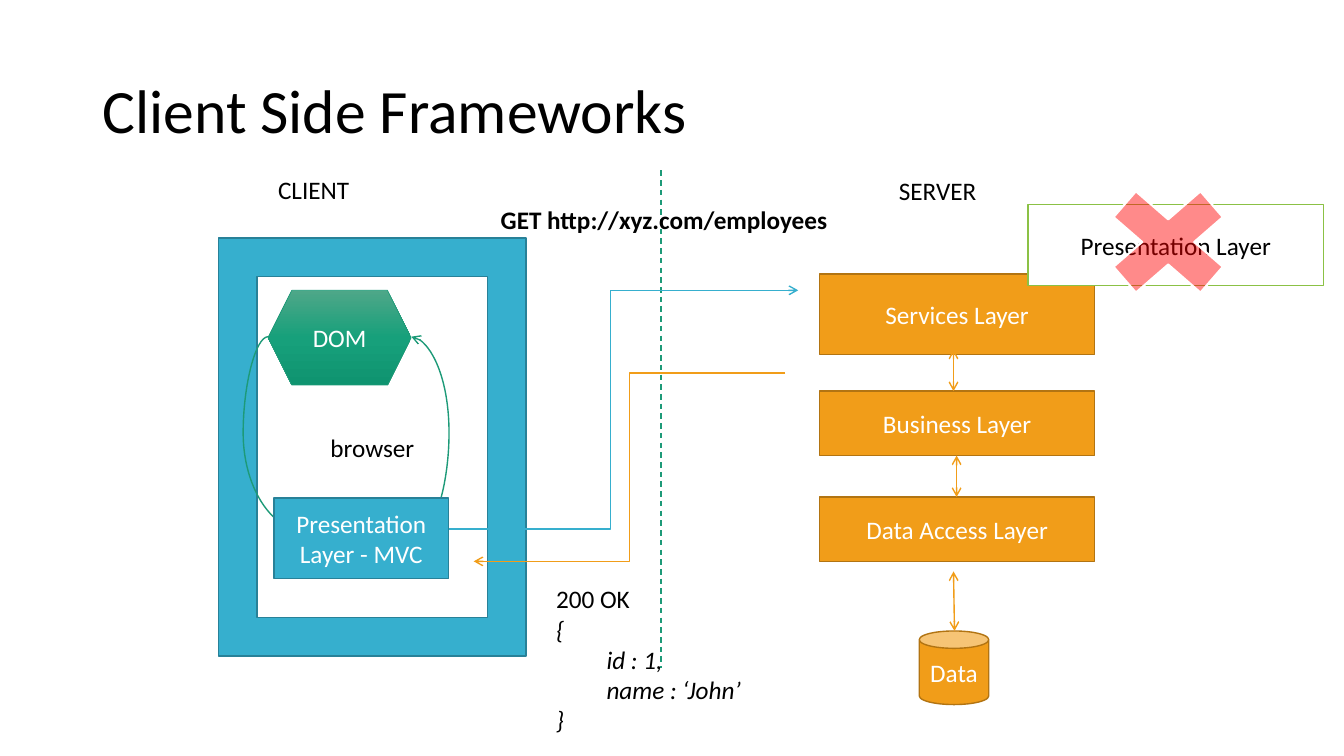
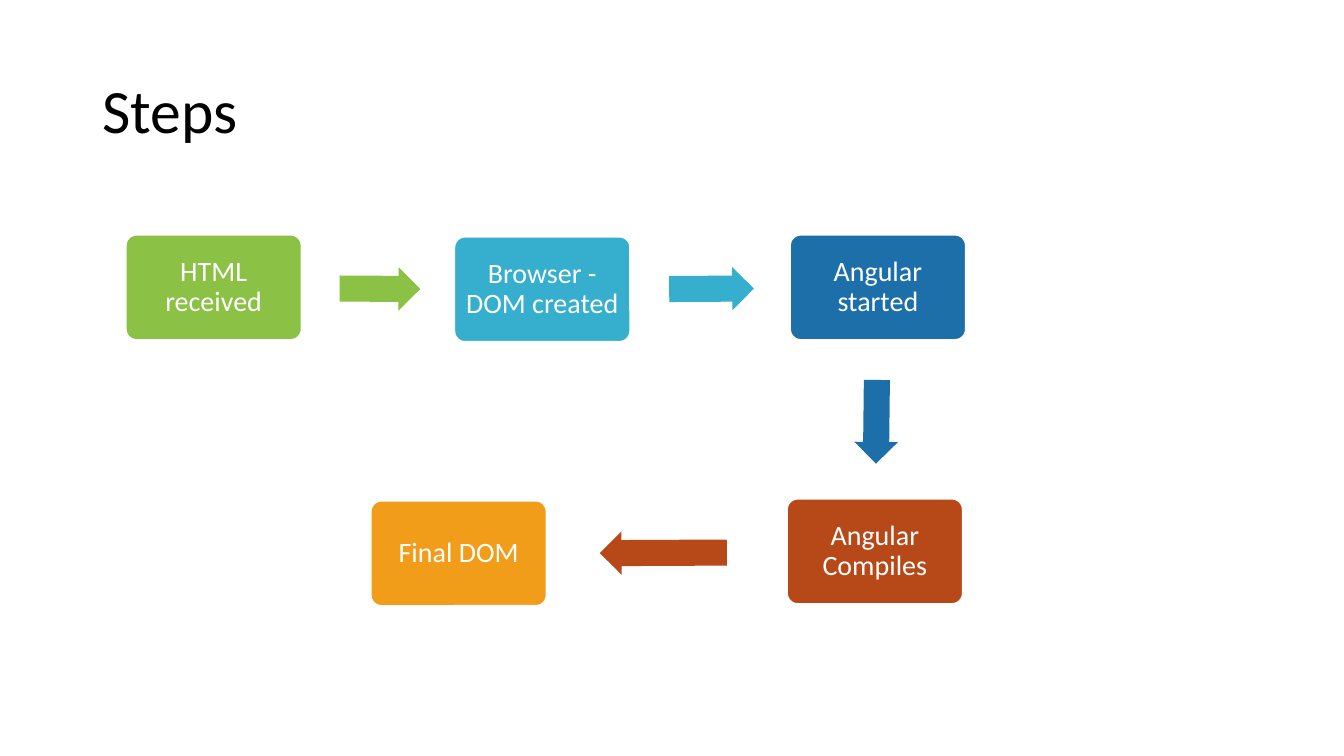
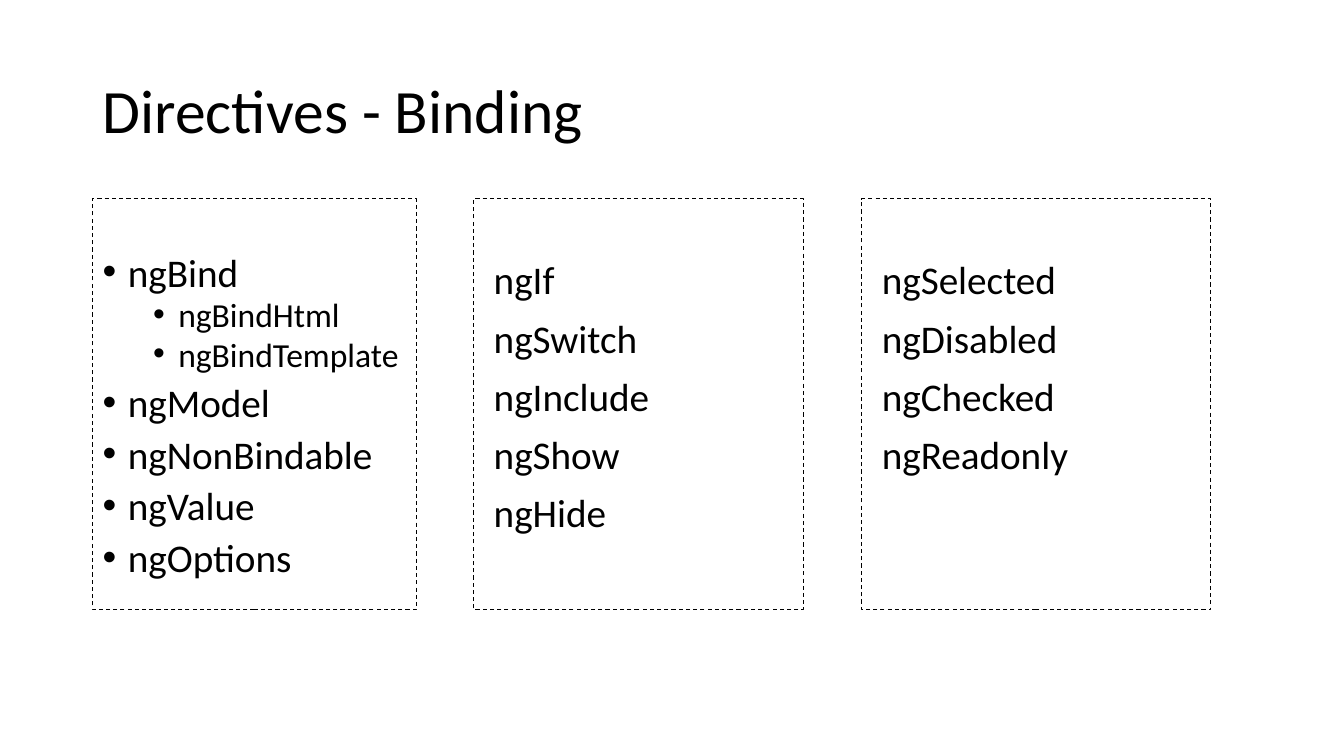
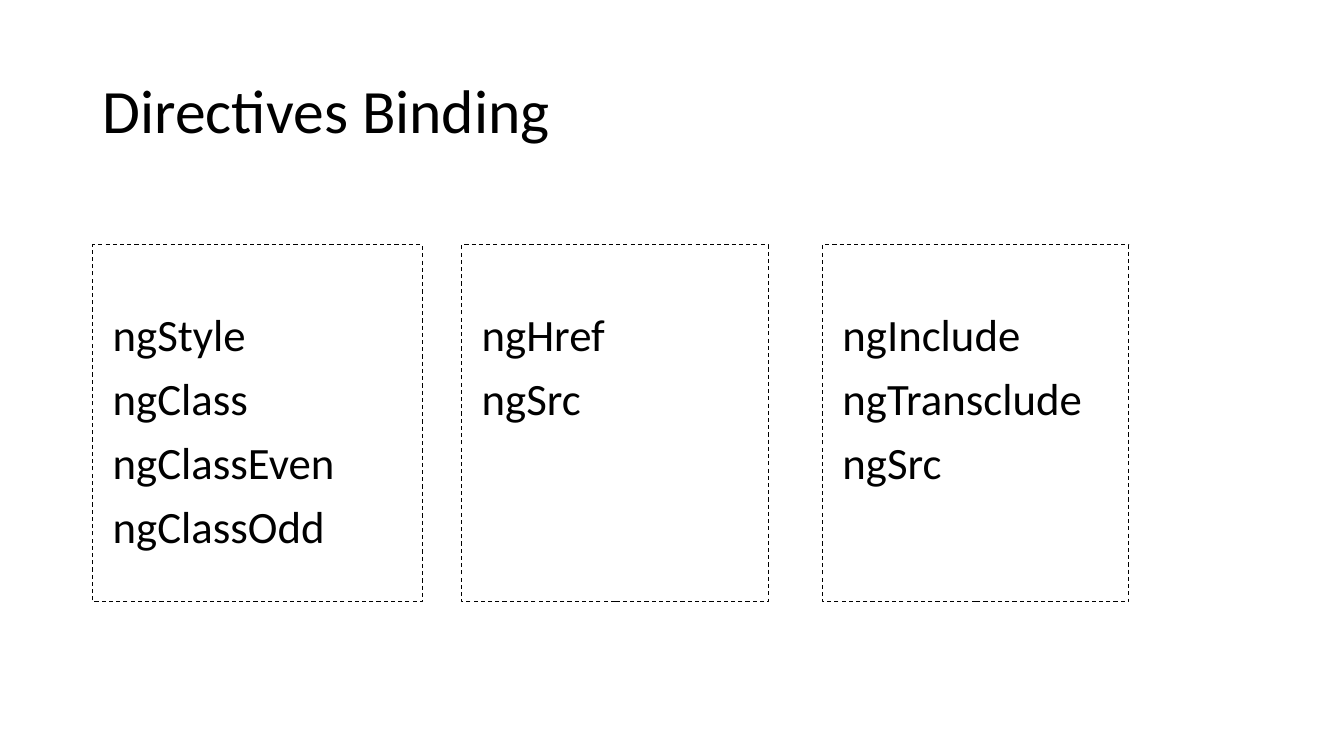
from copy import deepcopy
from math import atan2, degrees

from pptx import Presentation
from pptx.dml.color import RGBColor
from pptx.enum.dml import MSO_LINE
from pptx.enum.shapes import MSO_CONNECTOR as Connector, MSO_SHAPE as Preset
from pptx.enum.text import MSO_ANCHOR as Anchor, PP_ALIGN as Align
from pptx.oxml.ns import qn
from pptx.util import Pt
from lxml.etree import SubElement

# Shared style
FONT = "Calibri"
BLACK = RGBColor(0x00, 0x00, 0x00)
WHITE = RGBColor(0xFF, 0xFF, 0xFF)
RED = RGBColor(0xFF, 0x00, 0x00)
ORANGE = RGBColor(0xF1, 0x9D, 0x19)
DARK_ORANGE = RGBColor(0xB2, 0x74, 0x12)
CYAN = RGBColor(0x36, 0xAF, 0xCE)
DARK_CYAN = RGBColor(0x28, 0x81, 0x98)
GREEN = RGBColor(0x8B, 0xC1, 0x45)
TEAL = RGBColor(0x1D, 0x9A, 0x78)
BLUE = RGBColor(0x1D, 0x6F, 0xA9)
RUST = RGBColor(0xB7, 0x49, 0x19)
DOM_GRADIENT = [
    (0, RGBColor(0x4E, 0xA7, 0x88)),
    (0.5, RGBColor(0x17, 0xA0, 0x7B)),
    (1, RGBColor(0x0F, 0x94, 0x70)),
]
TITLE_PLACE = (66.24, 28.8, 828, 104.4)

# Slide 1: preset, place, text, fill, outline, text colour
LAYERS = [
    (Preset.RECTANGLE, (585.4, 195.8, 196.6, 57.6), "Services Layer", ORANGE, DARK_ORANGE, WHITE),
    (Preset.FRAME, (156.2, 169.9, 219.6, 298.8), "browser", CYAN, DARK_CYAN, BLACK),
    (Preset.CAN, (656.6, 450.7, 49.7, 52.6), "Data", ORANGE, DARK_ORANGE, WHITE),
    (Preset.RECTANGLE, (585.4, 279.4, 196.6, 46.1), "Business Layer", ORANGE, DARK_ORANGE, WHITE),
    (Preset.RECTANGLE, (585.4, 355, 196.6, 46.1), "Data Access Layer", ORANGE, DARK_ORANGE, WHITE),
]
PRESENTATION_LAYERS = [
    (Preset.RECTANGLE, (195.8, 355.7, 124.6, 57.6), "Presentation Layer - MVC", CYAN, DARK_CYAN, WHITE),
    (Preset.RECTANGLE, (734.4, 146.2, 211, 57.6), "Presentation Layer", WHITE, GREEN, BLACK),
]
# place, text, bold
LABELS = [
    ((191.5, 121, 66.2, 28.8), "CLIENT", False),
    ((635, 121.7, 71.3, 28.8), "SERVER", False),
    ((350.6, 142.6, 251.3, 28.8), "GET http://xyz.com/employees", True),
]
# text, italic, indent
RESPONSE = [
    ("200 OK", False, 0),
    ("{", True, 0),
    ("id : 1,", True, 36),
    ("name : ‘John’", True, 36),
    ("}", True, 0),
]
# kind, start, end, colour, arrowheads, bend
CONNECTORS = [
    (Connector.STRAIGHT, (681.1, 408.2), (681.8, 450.7), ORANGE, ("headEnd", "tailEnd"), None),
    (Connector.STRAIGHT, (683.3, 325.4), (683.3, 355), ORANGE, ("headEnd", "tailEnd"), None),
    (Connector.STRAIGHT, (681.1, 249.8), (681.1, 279.4), ORANGE, ("headEnd", "tailEnd"), None),
    (Connector.CURVE, (191.5, 240.5), (213.8, 378), TEAL, ("tailEnd",), -0.8),
    (Connector.CURVE, (301.7, 378), (293.8, 240.5), TEAL, ("tailEnd",), -2.41),
    (Connector.ELBOW, (301.7, 378), (570.2, 207.4), CYAN, ("tailEnd",), 0.5),
    (Connector.ELBOW, (560.9, 266.4), (338.4, 401), ORANGE, ("tailEnd",), 0.5),
]

# Slide 2: text, left, top, colour
STEP_SIZE = (125.3, 74.9)
STEPS = [
    ("HTML received", 90, 167.8, GREEN),
    ("Browser - DOM created", 324.7, 169.2, CYAN),
    ("Angular started", 564.5, 167.8, BLUE),
    ("Angular Compiles", 562.3, 356.4, RUST),
    ("Final DOM", 265, 357.8, ORANGE),
]
# Arrow after each step: centre x, centre y, length
STEP_ARROWS = [
    (271.4, 206.3, 57.6),
    (508.3, 206.3, 60.5),
    (626, 301.3, 59.8),
    (473.8, 394.9, 90.7),
]
ARROW_THICKNESS = 31

# Slides 3 and 4: place, font size, top inset, items as (level, text) or text
BINDING = [
    ((66.24, 141.8, 231.1, 293.8), 28, 42, [
        (0, "ngBind"), (1, "ngBindHtml"), (1, "ngBindTemplate"), (0, "ngModel"),
        (0, "ngNonBindable"), (0, "ngValue"), (0, "ngOptions")]),
    ((338.4, 141.8, 235.4, 293.8), 28, 46, ["ngIf", "ngSwitch", "ngInclude", "ngShow", "ngHide"]),
    ((615.6, 141.8, 249.1, 293.8), 28, 46, ["ngSelected", "ngDisabled", "ngChecked", "ngReadonly"]),
]
STYLING = [
    ((66.24, 175, 235.4, 254.9), 32, 50, ["ngStyle", "ngClass", "ngClassEven", "ngClassOdd"]),
    ((329.8, 175, 218.9, 254.9), 32, 50, ["ngHref", "ngSrc"]),
    ((587.5, 175, 218.9, 254.9), 32, 50, ["ngInclude", "ngTransclude", "ngSrc"]),
]


def style(paragraph, size, color):
    paragraph.font.name = FONT
    paragraph.font.size = Pt(size)
    paragraph.font.color.rgb = color


def add_text(slide, place, text, size, wrap=False):
    box = slide.shapes.add_textbox(*map(Pt, place))
    frame = box.text_frame
    frame.word_wrap = wrap
    frame.text = text
    style(frame.paragraphs[0], size, BLACK)
    return frame


def add_titled_slide(presentation, title):
    slide = presentation.slides.add_slide(presentation.slide_layouts[6])
    frame = add_text(slide, TITLE_PLACE, title, 44, wrap=True)
    frame.vertical_anchor = Anchor.MIDDLE
    frame.paragraphs[0].line_spacing = 0.9
    return slide


def add_shape(slide, preset, place, fill=None, outline=None, width=1.0):
    shape = slide.shapes.add_shape(preset, *map(Pt, place))
    shape.shadow.inherit = False
    if fill is None:
        shape.fill.background()
    else:
        shape.fill.solid()
        shape.fill.fore_color.rgb = fill
    if outline is None:
        shape.line.fill.background()
    else:
        shape.line.color.rgb = outline
        shape.line.width = Pt(width)
    return shape


def put_label(shape, text, size, color):
    frame = shape.text_frame
    frame.word_wrap = True
    frame.vertical_anchor = Anchor.MIDDLE
    frame.text = text
    paragraph = frame.paragraphs[0]
    paragraph.alignment = Align.CENTER
    style(paragraph, size, color)
    return frame


def add_labelled_shape(slide, preset, place, text, fill, outline, color):
    shape = add_shape(slide, preset, place, fill, outline)
    put_label(shape, text, 18, color)
    return shape


def add_line(slide, kind, start, end, color, heads=(), bend=None):
    line = slide.shapes.add_connector(kind, *map(Pt, start + end))
    line.line.color.rgb = color
    line.line.width = Pt(1)
    properties = line.element.spPr
    for head in heads:
        SubElement(properties.find(qn("a:ln")), qn(f"a:{head}"), type="arrow")
    if bend is not None:
        guides = properties.find(qn("a:prstGeom")).get_or_add_avLst()
        SubElement(guides, qn("a:gd"), name="adj1", fmla=f"val {round(bend * 100000)}")
    SubElement(properties, qn("a:effectLst"))
    return line


def set_indent(paragraph, left, first=0):
    properties = paragraph._p.get_or_add_pPr()
    properties.set("marL", str(Pt(left)))
    properties.set("indent", str(Pt(first)))
    return properties


def fill_gradient(shape, stops):
    shape.fill.gradient()
    shape.fill.gradient_angle = 270
    stop_list = shape.element.spPr.find(f".//{qn('a:gsLst')}")
    while len(stop_list) < len(stops):
        stop_list.append(deepcopy(stop_list[0]))
    for stop, (position, color) in zip(shape.fill.gradient_stops, stops):
        stop.position = position
        stop.color.rgb = color


def build_frameworks(presentation):
    slide = add_titled_slide(presentation, "Client Side Frameworks")
    for layer in LAYERS:
        add_labelled_shape(slide, *layer)
    divider = add_line(slide, Connector.STRAIGHT, (472.3, 121.7), (472.3, 477.4), TEAL)
    divider.line.dash_style = MSO_LINE.DASH
    for place, text, bold in LABELS:
        add_text(slide, place, text, 18).paragraphs[0].font.bold = bold

    # Server response
    frame = add_text(slide, (390.2, 413.3, 170.6, 116.6), "", 18, wrap=True)
    for number, (text, italic, indent) in enumerate(RESPONSE):
        paragraph = frame.add_paragraph() if number else frame.paragraphs[0]
        paragraph.text = text
        style(paragraph, 18, BLACK)
        paragraph.font.italic = italic
        set_indent(paragraph, indent)

    # Browser contents and message flow
    dom = add_labelled_shape(slide, Preset.HEXAGON, (191.5, 207.4, 102.2, 67.7), "DOM", TEAL, TEAL, WHITE)
    dom.line.width = Pt(0.5)
    fill_gradient(dom, DOM_GRADIENT)
    for connector in CONNECTORS:
        add_line(slide, *connector)
    for layer in PRESENTATION_LAYERS:
        add_labelled_shape(slide, *layer)

    # Translucent cross over the removed layer
    cross = add_shape(slide, Preset.MATH_MULTIPLY, (774.7, 121, 119.5, 103.7), RED, WHITE, 1.5)
    color = cross.element.spPr.find(f"{qn('a:solidFill')}/{qn('a:srgbClr')}")
    SubElement(color, qn("a:alpha"), val="46000")


def build_steps(presentation):
    slide = add_titled_slide(presentation, "Steps")
    for text, left, top, color in STEPS:
        step = add_shape(slide, Preset.ROUNDED_RECTANGLE, (left, top, *STEP_SIZE), color, WHITE)
        step.adjustments[0] = 0.1
        frame = put_label(step, text, 20, WHITE)
        frame.margin_left = frame.margin_right = Pt(5.6)
        frame.margin_top = frame.margin_bottom = Pt(5.6)
        frame.paragraphs[0].line_spacing = 0.9

    # Each arrow points from its step towards the next
    for (x, y, length), step, following in zip(STEP_ARROWS, STEPS, STEPS[1:]):
        place = (x - length / 2, y - ARROW_THICKNESS / 2, length, ARROW_THICKNESS)
        arrow = add_shape(slide, Preset.RIGHT_ARROW, place, step[3])
        arrow.adjustments[0] = 0.6
        arrow.adjustments[1] = 0.5
        arrow.rotation = degrees(atan2(following[2] - step[2], following[1] - step[1]))


def build_directives(presentation, title, columns):
    slide = add_titled_slide(presentation, title)
    for place, size, top_inset, items in columns:
        column = add_shape(slide, Preset.RECTANGLE, place, None, BLACK, 0.75)
        column.line.dash_style = MSO_LINE.DASH
        frame = column.text_frame
        frame.word_wrap = True
        frame.vertical_anchor = Anchor.TOP
        frame.margin_top = Pt(top_inset)
        for number, item in enumerate(items):
            paragraph = frame.add_paragraph() if number else frame.paragraphs[0]
            paragraph.alignment = Align.LEFT
            if isinstance(item, tuple):
                level, text = item
                paragraph.level = level
                paragraph.line_spacing = 0.8
                paragraph.space_before = Pt(5 if level else 10)
                properties = set_indent(paragraph, 18 + 36 * level, -18)
                SubElement(properties, qn("a:buFont"), typeface="Arial")
                SubElement(properties, qn("a:buChar"), char="•")
            else:
                level, text = 0, item
                paragraph.line_spacing = 0.85
                paragraph.space_before = Pt(13)
                set_indent(paragraph, 7.2)
            if number == 0:
                paragraph.space_before = Pt(0)
            paragraph.text = text
            style(paragraph, size - 4 * level, BLACK)


def main():
    presentation = Presentation()
    presentation.slide_width = Pt(960)
    presentation.slide_height = Pt(540)
    build_frameworks(presentation)
    build_steps(presentation)
    build_directives(presentation, "Directives - Binding", BINDING)
    build_directives(presentation, "Directives Binding", STYLING)
    presentation.save("out.pptx")


if __name__ == "__main__":
    main()
